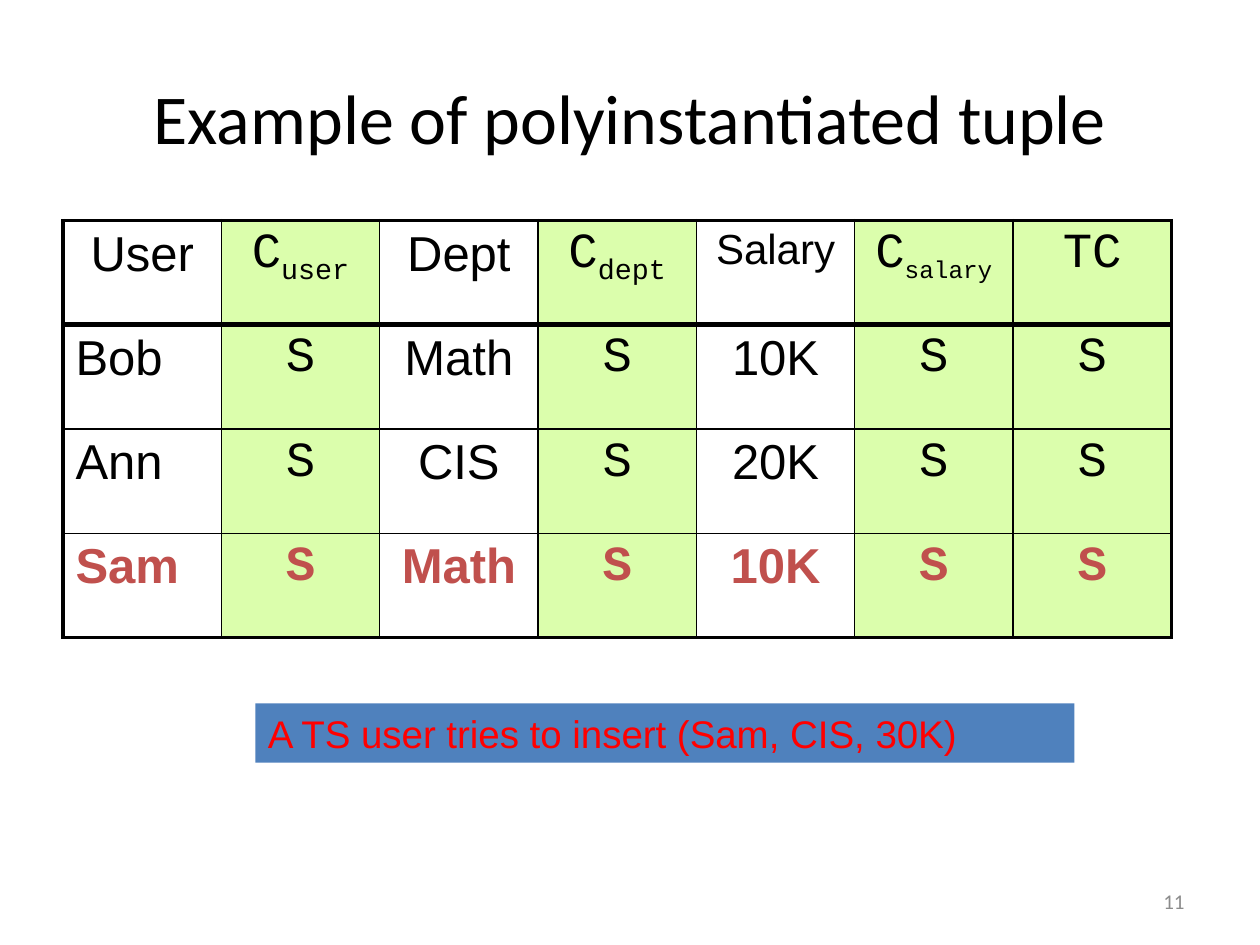
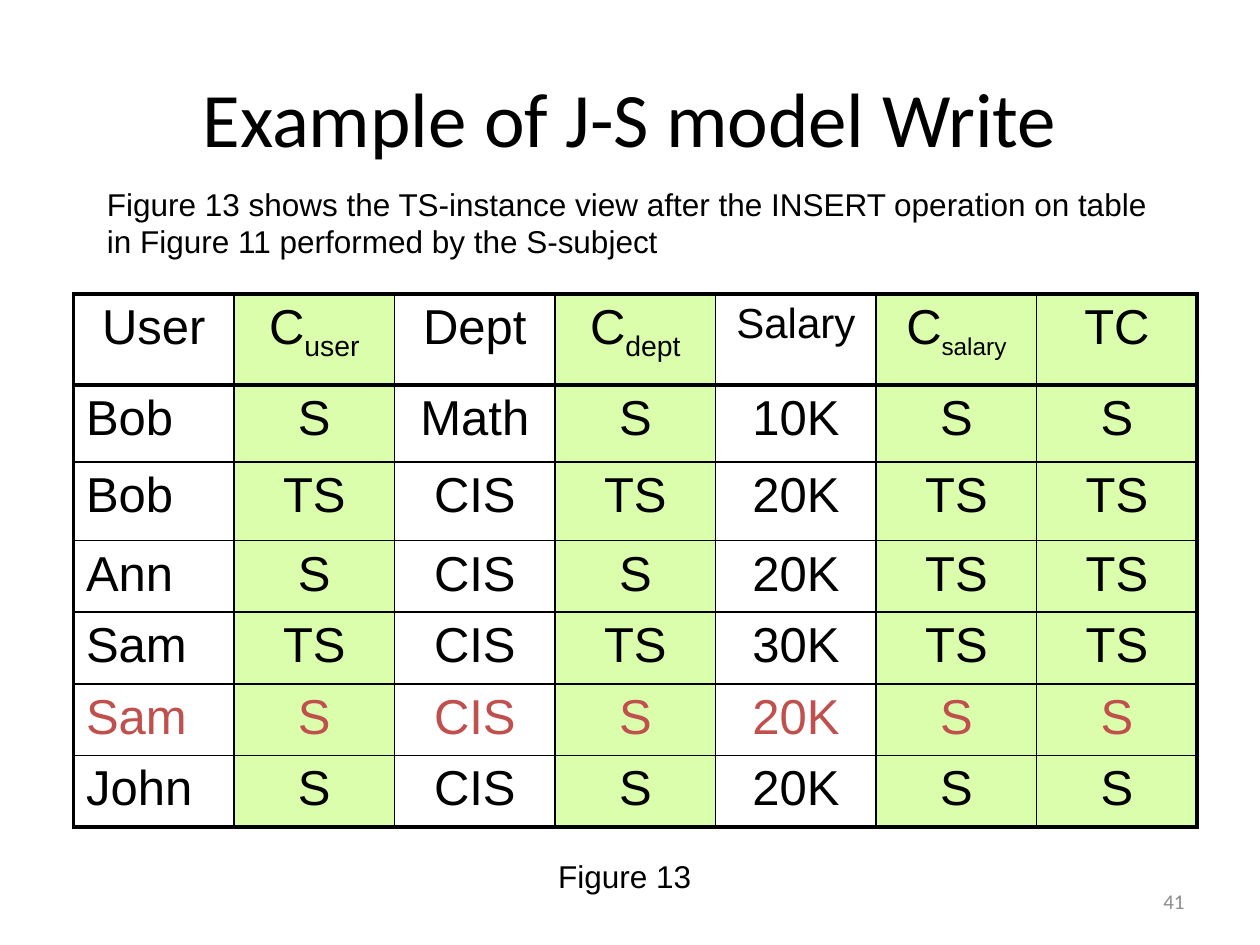
from lxml import etree
from pptx import Presentation
from pptx import util as u
from pptx.dml import color
from pptx.enum import shapes, text
from pptx.oxml import ns

Pt = u.Pt
left, mid, right = text.PP_ALIGN.LEFT, text.PP_ALIGN.CENTER, text.PP_ALIGN.RIGHT
black, red, green, gray = "000000", "C0504D", "DBFEAC", "8C8C8C"
heads = ["User", "C user", "Dept", "C dept", "Salary", "C salary", "TC"]
marks = [1, 3, 5, 6]


def paint(part, tone):
    if hasattr(part, "solid"):
        part.solid()
        part = part.fore_color
    part.rgb = color.RGBColor.from_string(tone)


def write(para, words, tone, align, **style):
    para.alignment = align
    run = para.add_run()
    run.text = words
    for key, val in style.items():
        setattr(run.font, key, val)
    paint(run.font.color, tone)
    return run


pages = [
    {
        "title": "Example of polyinstantiated tuple", "size": 40, "num": "11",
        "spot": (36, 126), "wide": 90.5, "high": [59.6] * 4,
        "mono": "Courier New", "hot": 3, "bold": True,
        "rows": ["Bob S Math S 10K S S", "Ann S CIS S 20K S S", "Sam S Math S 10K S S"],
        "notes": [("A TS user tries to insert (Sam, CIS, 30K)",
                   (146, 402, 468, 33.8), 22, "FF0000", left, "4F81BD")],
    },
    {
        "title": "Example of J-S model Write", "size": 44, "num": "41",
        "spot": (42, 168), "wide": 91.75, "high": [52, 44, 45] + [40.9] * 4,
        "mono": "Arial", "hot": 5, "bold": False,
        "rows": ["Bob S Math S 10K S S", "Bob TS CIS TS 20K TS TS",
                 "Ann S CIS S 20K TS TS", "Sam TS CIS TS 30K TS TS",
                 "Sam S CIS S 20K S S", "John S CIS S 20K S S"],
        "notes": [("Figure 13 shows the TS-instance view after the INSERT operation "
                   "on table in Figure 11 performed by the S-subject",
                   (54, 102, 624, 50.4), 18, black, left, None),
                  ("Figure 13", (282, 486, 150, 29), 18, black, mid, None)],
    },
]

deck = Presentation()
deck.slide_width, deck.slide_height = Pt(720), Pt(540)

for page in pages:
    slide = deck.slides.add_slide(deck.slide_layouts[6])

    for words, box, size, tone, align in [
        (page["title"], (36, 21.6, 648, 90), page["size"], black, mid),
        (page["num"], (516, 500.5, 168, 28.8), 12, gray, right),
    ]:
        frame = slide.shapes.add_textbox(*map(Pt, box)).text_frame
        frame.word_wrap = True
        frame.vertical_anchor = text.MSO_ANCHOR.MIDDLE
        write(frame.paragraphs[0], words, tone, align, name="Calibri", size=Pt(size))

    grid = [heads] + [row.split() for row in page["rows"]]
    last = len(grid) - 1
    wide, high = page["wide"], page["high"]
    area = (*page["spot"], wide * 7, sum(high))
    table = slide.shapes.add_table(len(grid), 7, *map(Pt, area)).table
    for col in table.columns:
        col.width = Pt(wide)
    for row, tall in zip(table.rows, high):
        row.height = Pt(tall)

    for y, row in enumerate(grid):
        for x, words in enumerate(row):
            cell = table.cell(y, x)
            edges = {
                "lnL": 2.25 if x == 0 else 1,
                "lnR": 2.25 if x == 6 else 1,
                "lnT": {0: 2.25, 1: 3}.get(y, 1),
                "lnB": {0: 3, last: 2.25}.get(y, 1),
            }
            props = cell._tc.get_or_add_tcPr()
            for side, thick in edges.items():
                line = etree.SubElement(props, ns.qn("a:" + side), w=str(Pt(thick)))
                fill = etree.SubElement(line, ns.qn("a:solidFill"))
                etree.SubElement(fill, ns.qn("a:srgbClr"), val=black)
            if x in marks:
                paint(cell.fill, green)
            else:
                cell.fill.background()

            hot = y == page["hot"]
            para = cell.text_frame.paragraphs[0]
            for i, bit in enumerate(words.split()):
                run = write(
                    para, bit, red if hot else black,
                    left if x == 0 and y else mid,
                    name=page["mono"] if x in marks else "Arial",
                    size=Pt(24 if bit.lower() == "salary" else 28),
                    bold=hot and page["bold"],
                )
                if i:
                    run.font._element.set("baseline", "-25000")

    for words, box, size, tone, align, back in page["notes"]:
        area = map(Pt, box)
        if back:
            shape = slide.shapes.add_shape(shapes.MSO_SHAPE.RECTANGLE, *area)
            shape.shadow.inherit = False
            paint(shape.fill, back)
            shape.line.fill.background()
        else:
            shape = slide.shapes.add_textbox(*area)
        frame = shape.text_frame
        frame.word_wrap = True
        frame.vertical_anchor = text.MSO_ANCHOR.TOP
        frame.auto_size = text.MSO_AUTO_SIZE.SHAPE_TO_FIT_TEXT
        write(frame.paragraphs[0], words, tone, align, name="Arial", size=Pt(size))

deck.save("out.pptx")
